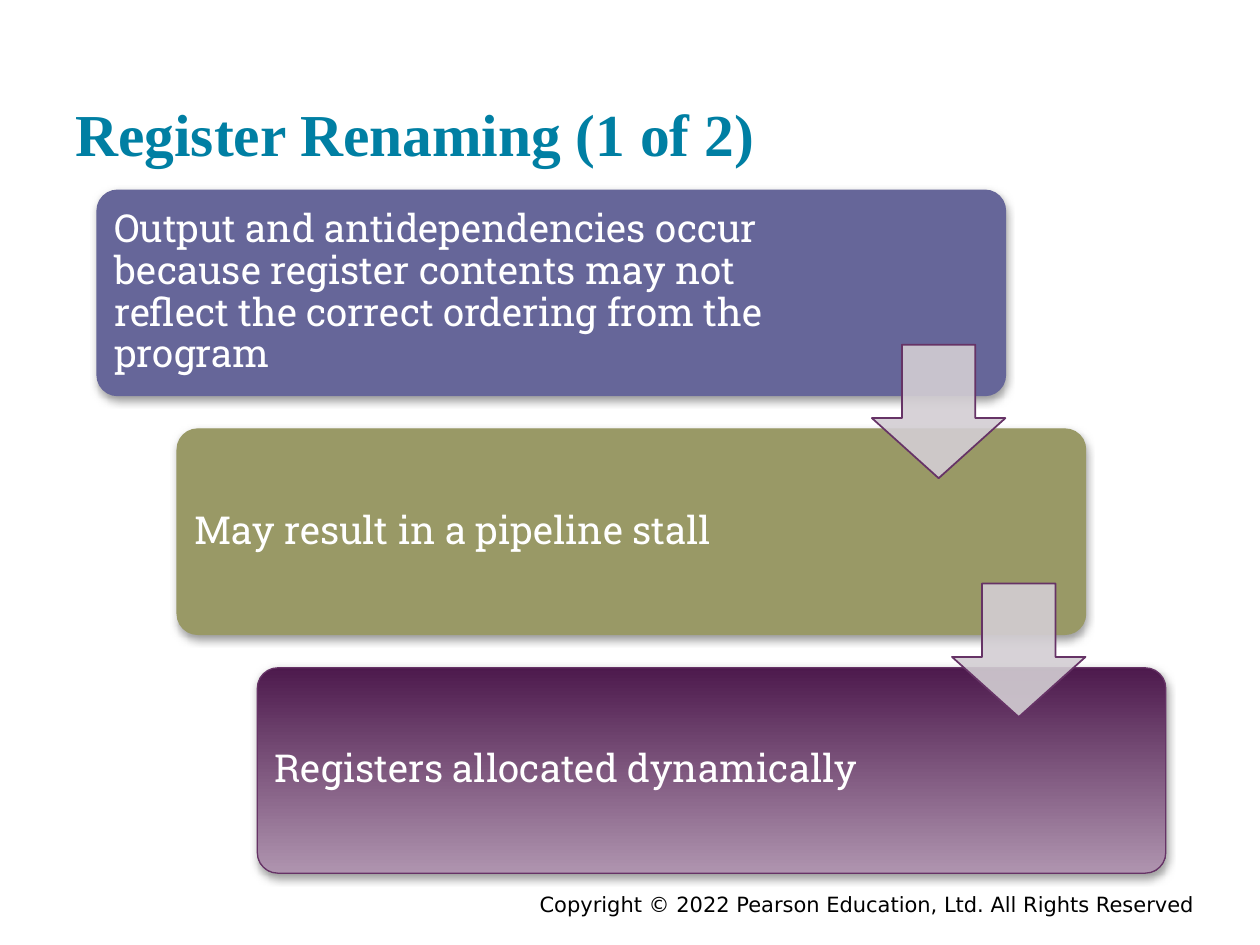
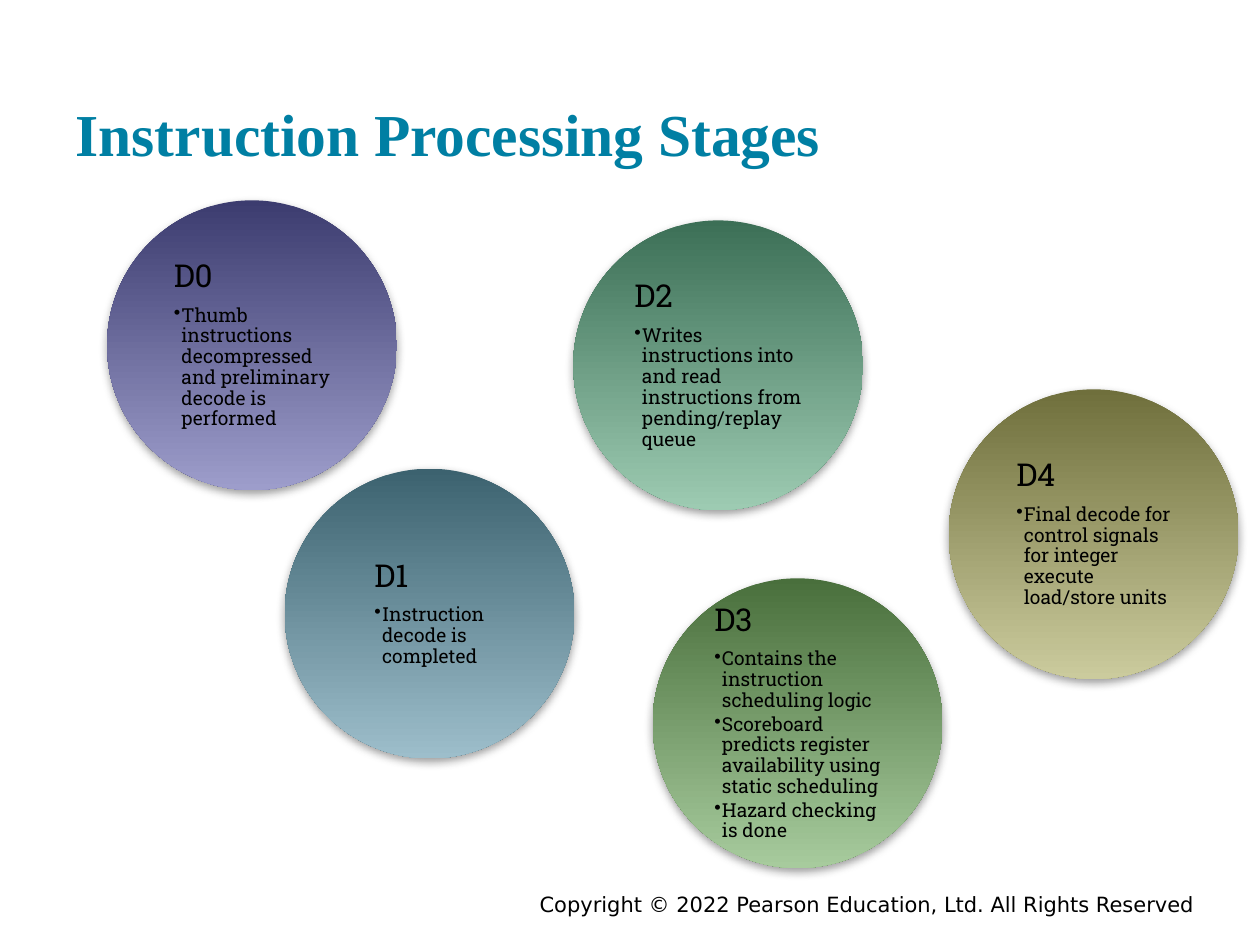
from lxml import etree
from pptx import Presentation
from pptx import util as u
from pptx.dml.color import RGBColor
from pptx.enum import shapes, text
from pptx.oxml import parse_xml
from pptx.oxml.ns import nsdecls, qn

WHITE = RGBColor(0xFF, 0xFF, 0xFF)
BLACK = RGBColor(0x00, 0x00, 0x00)
TEAL = RGBColor(0x00, 0x7F, 0xA3)
INDIGO = RGBColor(0x66, 0x66, 0x99)
OLIVE = RGBColor(0x99, 0x99, 0x66)
PLUM = RGBColor(0x66, 0x33, 0x66)
PLUM_FADE = (RGBColor(0x4D, 0x1A, 0x4D), RGBColor(0xAF, 0x94, 0xAF))
ARROW_GREY = RGBColor(0xD3, 0xCE, 0xD3)
INDIGO_FADE = (RGBColor(0x3C, 0x3C, 0x6F), RGBColor(0x9D, 0x9D, 0xCB))
BLUE_FADE = (RGBColor(0x3C, 0x62, 0x6F), RGBColor(0x9D, 0xBE, 0xCB))
JADE_FADE = (RGBColor(0x3C, 0x6F, 0x56), RGBColor(0x9D, 0xCB, 0xB2))
GREEN_FADE = (RGBColor(0x49, 0x6F, 0x3C), RGBColor(0xA7, 0xCB, 0x9D))
OLIVE_FADE = (RGBColor(0x6F, 0x6F, 0x3C), RGBColor(0xCB, 0xCB, 0x9D))

TITLE_FONT, BODY_FONT, FOOTER_FONT = "Times New Roman", "Roboto Slab", "DejaVu Sans"
FOOTER = "Copyright © 2022 Pearson Education, Ltd. All Rights Reserved"
SHADOW = (
    f'<a:effectLst {nsdecls("a")}>'
    '<a:outerShdw blurRad="63500" dist="25400" dir="5400000" rotWithShape="0">'
    '<a:srgbClr val="808080"><a:alpha val="75000"/></a:srgbClr>'
    "</a:outerShdw></a:effectLst>"
)

deck = Presentation()
deck.slide_width, deck.slide_height = u.Inches(10), u.Inches(7.5)
COL, ROW = deck.slide_width // 100, deck.slide_height // 100


def add_span(para, words, font, size, color, bold=False):
    span = para.add_run()
    span.text = words
    span.font.name, span.font.size, span.font.bold = font, u.Pt(size), bold
    span.font.color.rgb = color


def add_panel(page, kind, left, top, width, height, fade, edge=None):
    """Add a shadowed shape with a two-colour downward fade, ready for left-aligned text."""
    panel = page.shapes.add_shape(kind, round(left), round(top), round(width), round(height))
    panel.fill.gradient()
    panel.fill.gradient_angle = 270
    for stop, color, position in zip(panel.fill.gradient_stops, fade, (0, 1)):
        stop.color.rgb, stop.position = color, position
    if edge is None:
        panel.line.fill.background()
    else:
        panel.line.color.rgb, panel.line.width = edge, u.Pt(0.75)
    panel._element.spPr.append(parse_xml(SHADOW))
    panel.text_frame.word_wrap = True
    panel.text_frame.vertical_anchor = text.MSO_ANCHOR.MIDDLE
    return panel


# Shared title position, then one page per title
layout = deck.slide_layouts[5]
holder = layout.placeholders[0]
holder.left, holder.top, holder.width, holder.height = 5 * COL, round(3.2 * ROW), 90 * COL, 16 * ROW

for heading in ("Register Renaming (1 of 2)", "Instruction Processing Stages"):
    page = deck.slides.add_slide(layout)
    frame = page.shapes.title.text_frame
    frame.margin_left = frame.margin_right = frame.margin_top = frame.margin_bottom = u.Inches(0.1)
    frame.vertical_anchor = text.MSO_ANCHOR.BOTTOM
    frame.auto_size = text.MSO_AUTO_SIZE.NONE
    frame.paragraphs[0].alignment = text.PP_ALIGN.LEFT
    add_span(frame.paragraphs[0], heading, TITLE_FONT, 34, TEAL, True)

    box = page.shapes.add_textbox(round(17.5 * COL), round(93.73 * ROW), round(78.3 * COL), 3 * ROW)
    box.text_frame.word_wrap = True
    box.text_frame.paragraphs[0].alignment = text.PP_ALIGN.RIGHT
    add_span(box.text_frame.paragraphs[0], FOOTER, FOOTER_FONT, 12, BLACK)

renaming, stages = deck.slides

# Register renaming: a staircase of cards joined by arrows
CARD_LEFT, CARD_TOP = 7.7 * COL, 20.13 * ROW
CARD_WIDTH, CARD_HEIGHT = 72.1 * COL, 21.73 * ROW
STEP_X, STEP_Y = 6.36 * COL, 25.27 * ROW
ARROW = round(10.6 * COL)
cards = [
    ("Output and antidependencies occur because register contents may not reflect "
     "the correct ordering from the program", (INDIGO, INDIGO), INDIGO),
    ("May result in a pipeline stall", (OLIVE, OLIVE), OLIVE),
    ("Registers allocated dynamically", PLUM_FADE, PLUM),
]
for step, (words, fade, edge) in enumerate(cards):
    card = add_panel(renaming, shapes.MSO_SHAPE.ROUNDED_RECTANGLE,
                     CARD_LEFT + step * STEP_X, CARD_TOP + step * STEP_Y,
                     CARD_WIDTH, CARD_HEIGHT, fade, edge)
    card.adjustments[0] = 0.1
    if fade[0] == fade[1]:
        card.fill.solid()
        card.fill.fore_color.rgb = edge
    frame = card.text_frame
    frame.margin_left = frame.margin_top = frame.margin_bottom = u.Inches(0.09)
    frame.margin_right = u.Inches(1.75)
    para = frame.paragraphs[0]
    para.alignment, para.line_spacing = text.PP_ALIGN.LEFT, 0.9
    add_span(para, words, BODY_FONT, 22, WHITE)

for step in range(len(cards) - 1):
    arrow = renaming.shapes.add_shape(
        shapes.MSO_SHAPE.DOWN_ARROW,
        round(CARD_LEFT + CARD_WIDTH + step * STEP_X) - ARROW,
        round(CARD_TOP + 16.35 * ROW + step * STEP_Y), ARROW, ARROW)
    arrow.adjustments[0], arrow.adjustments[1] = 0.55, 0.45
    arrow.shadow.inherit = False
    arrow.fill.solid()
    arrow.fill.fore_color.rgb = ARROW_GREY
    tint = arrow._element.spPr.find(qn("a:solidFill")).find(qn("a:srgbClr"))
    etree.SubElement(tint, qn("a:alpha"), val="90000")
    arrow.line.color.rgb, arrow.line.width = PLUM, u.Pt(1)

# Processing stages: left and top in percent of the slide
DISC = 23 * COL
HANG = u.Inches(0.06)
discs = [
    ("D0", 8.5, 21.2, INDIGO_FADE,
     ["Thumb instructions decompressed and preliminary decode is performed"]),
    ("D1", 22.6, 49.6, BLUE_FADE, ["Instruction decode is completed"]),
    ("D2", 45.5, 23.33, JADE_FADE,
     ["Writes instructions into and read instructions from pending/replay queue"]),
    ("D3", 51.8, 61.2, GREEN_FADE,
     ["Contains the instruction scheduling logic",
      "Scoreboard predicts register availability using static scheduling",
      "Hazard checking is done"]),
    ("D4", 75.3, 41.2, OLIVE_FADE,
     ["Final decode for control signals for integer execute load/store units"]),
]
for stage, left, top, fade, duties in discs:
    disc = add_panel(stages, shapes.MSO_SHAPE.OVAL, left * COL, top * ROW, DISC, DISC, fade)
    frame = disc.text_frame
    frame.margin_left = frame.margin_right = u.Inches(0.13)
    frame.margin_top = frame.margin_bottom = u.Inches(0.03)
    frame._txBody.bodyPr.set("anchorCtr", "1")
    para = frame.paragraphs[0]
    para.alignment, para.line_spacing, para.space_after = text.PP_ALIGN.LEFT, 0.9, u.Pt(6.3)
    add_span(para, stage, BODY_FONT, 18, BLACK)
    for duty in duties:
        para = frame.add_paragraph()
        para.level = 1
        bullet = para._p.get_or_add_pPr()
        bullet.set("marL", str(HANG))
        bullet.set("indent", str(-HANG))
        etree.SubElement(bullet, qn("a:buChar"), char="•")
        para.alignment, para.line_spacing, para.space_after = text.PP_ALIGN.LEFT, 0.9, u.Pt(1.65)
        add_span(para, duty, BODY_FONT, 11, BLACK)

deck.save("out.pptx")
